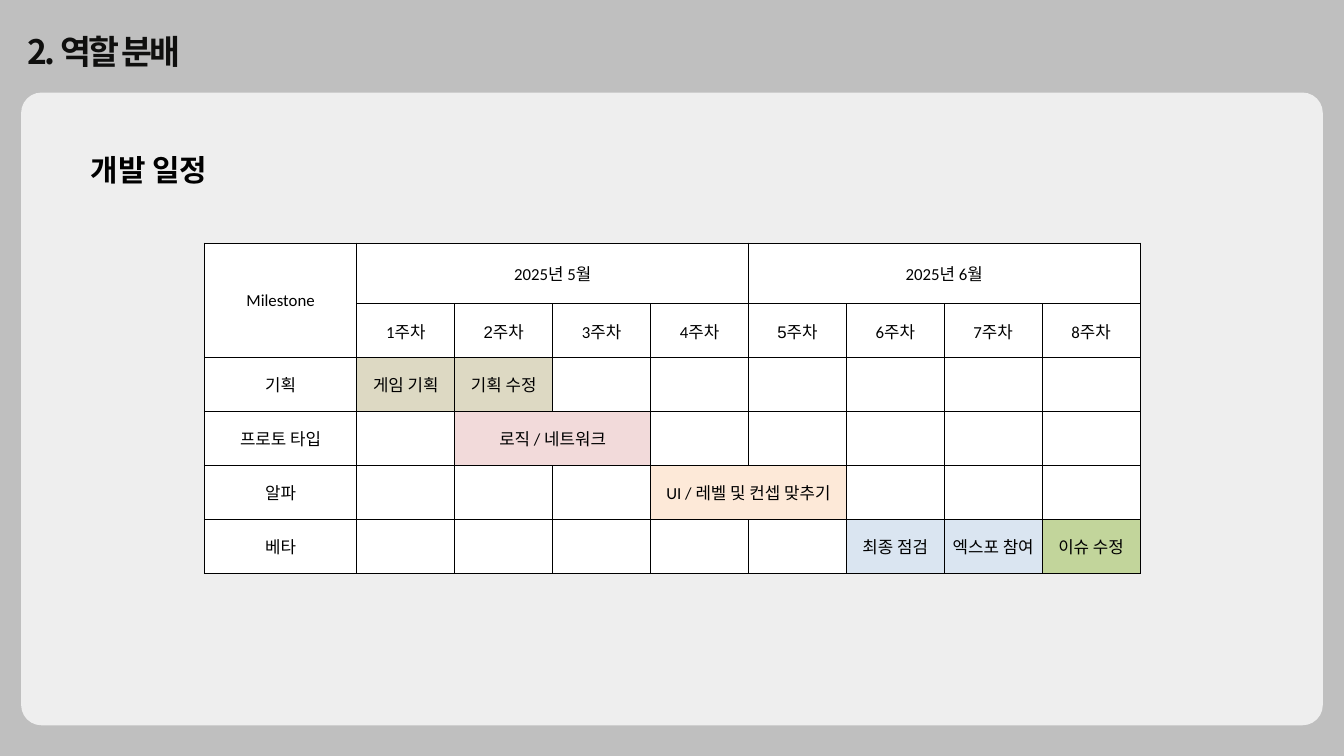
from lxml.etree import SubElement
from pptx import Presentation
from pptx.dml.color import RGBColor
from pptx.enum.shapes import MSO_SHAPE
from pptx.enum.text import MSO_ANCHOR, MSO_AUTO_SIZE, PP_ALIGN
from pptx.oxml import parse_xml
from pptx.oxml.ns import nsdecls, qn
from pptx.util import Cm, Pt

GRAY = RGBColor(0xBF, 0xBF, 0xBF)
PANEL = RGBColor(0xEE, 0xEE, 0xEE)
INK = RGBColor(0x0F, 0x0F, 0x0E)
BLACK = RGBColor(0, 0, 0)
WHITE = RGBColor(0xFF, 0xFF, 0xFF)
SAND = RGBColor(0xDD, 0xD9, 0xC3)
PINK = RGBColor(0xF2, 0xDA, 0xDA)
PEACH = RGBColor(0xFD, 0xE9, 0xD8)
BLUE = RGBColor(0xDA, 0xE5, 0xF1)
GREEN = RGBColor(0xC2, 0xD5, 0x9B)
KOREAN = "Noto Sans CJK KR"


def write(frame, text, size=18, name="Calibri", color=BLACK, bold=False,
          align=PP_ALIGN.LEFT, space=0):
    line = frame.paragraphs[0]
    line.alignment = align
    run = line.add_run()
    run.text = text
    run.font.size = Pt(size)
    run.font.name = name
    run.font.bold = bold
    run.font.color.rgb = color
    props = run.font._element
    SubElement(props, qn("a:ea")).set("typeface", KOREAN)
    if space:
        props.set("spc", str(space * 100))


deck = Presentation()
deck.slide_width, deck.slide_height = Cm(50.8), Cm(28.58)
slide = deck.slides.add_slide(deck.slide_layouts[5])
slide.background.fill.solid()
slide.background.fill.fore_color.rgb = GRAY

panel = slide.shapes.add_shape(
    MSO_SHAPE.ROUNDED_RECTANGLE, Cm(0.8), Cm(3.5), Cm(49.2), Cm(23.92))
panel.adjustments[0] = 0.032
panel.shadow.inherit = False
panel.fill.solid()
panel.fill.fore_color.rgb = PANEL
panel.line.fill.background()

title = slide.shapes.title
title.left, title.top, title.width, title.height = Cm(0.8), Cm(1.02), Cm(15.92), Cm(1.8)
write(title.text_frame, "2. 역할 분배", size=36, name=KOREAN, color=INK, bold=True, space=-3)

label = slide.shapes.add_textbox(Cm(3.18), Cm(5.61), Cm(5.92), Cm(1.63))
write(label.text_frame, "개발 일정", size=32, bold=True)
for box in (title, label):
    box.text_frame.word_wrap = True
    box.text_frame.auto_size = MSO_AUTO_SIZE.SHAPE_TO_FIT_TEXT
    box.text_frame.vertical_anchor = MSO_ANCHOR.MIDDLE

plan = slide.shapes.add_table(6, 9, Cm(7.72), Cm(9.19), Cm(35.37), Cm(12.49)).table
plan.first_row = plan.horz_banding = False
for i, col in enumerate(plan.columns):
    col.width = Cm(3.7) if i else Cm(5.77)
for i, row in enumerate(plan.rows):
    row.height = Cm(2.04) if i else Cm(2.29)

for cell in plan.iter_cells():
    cell.fill.solid()
    cell.fill.fore_color.rgb = WHITE
    cell.vertical_anchor = MSO_ANCHOR.MIDDLE
    cell.margin_left = cell.margin_right = Cm(0.15)
    cell.margin_top = cell.margin_bottom = Cm(0.08)
    props = cell._tc.get_or_add_tcPr()
    for i, side in enumerate(("lnL", "lnR", "lnT", "lnB")):
        props.insert(i, parse_xml(
            f'<a:{side} {nsdecls("a")} w="12700"><a:solidFill>'
            f'<a:srgbClr val="{BLACK}"/></a:solidFill></a:{side}>'))

items = [
    (0, 0, 2, 1, "Milestone", WHITE),
    (0, 1, 1, 4, "2025년 5월", WHITE),
    (0, 5, 1, 4, "2025년 6월", WHITE),
    (2, 1, 1, 1, "게임 기획", SAND),
    (2, 2, 1, 1, "기획 수정", SAND),
    (3, 2, 1, 2, "로직 / 네트워크", PINK),
    (4, 4, 1, 2, "UI / 레벨 및 컨셉 맞추기", PEACH),
    (5, 6, 1, 1, "최종 점검", BLUE),
    (5, 7, 1, 1, "엑스포 참여", BLUE),
    (5, 8, 1, 1, "이슈 수정", GREEN),
]
items += [(1, week, 1, 1, f"{week}주차", WHITE) for week in range(1, 9)]
items += [(row, 0, 1, 1, stage, WHITE)
          for row, stage in enumerate(("기획", "프로토 타입", "알파", "베타"), 2)]

for row, col, down, across, text, color in items:
    cell = plan.cell(row, col)
    if down * across > 1:
        cell.merge(plan.cell(row + down - 1, col + across - 1))
    cell.fill.fore_color.rgb = color
    name = "Arial" if text in ("2주차", "5주차") else "Calibri"
    write(cell.text_frame, text, name=name, align=PP_ALIGN.CENTER)

deck.save("out.pptx")
